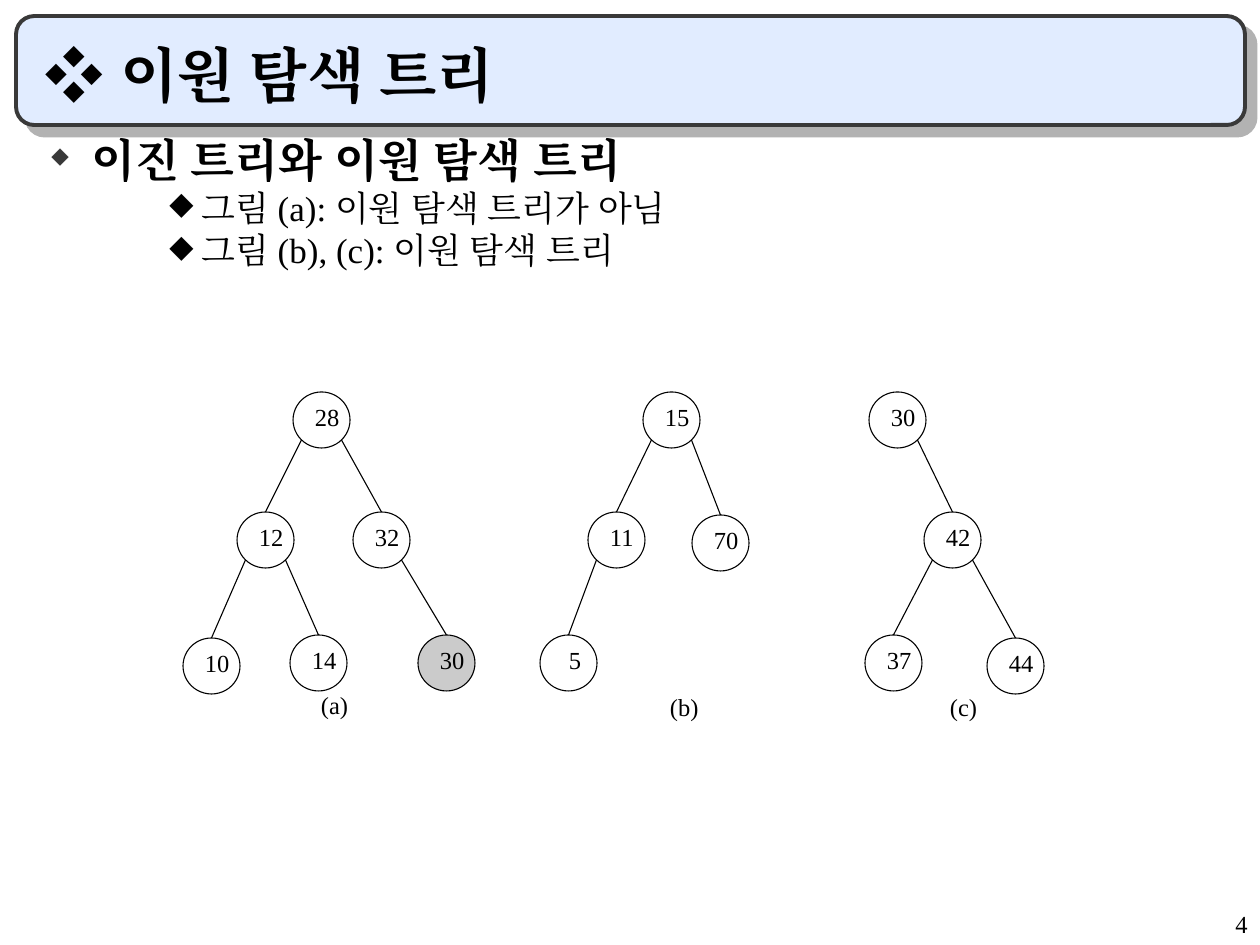
import pptx
import pptx.util
import pptx.dml.color
import pptx.enum.shapes
import pptx.enum.text
import pptx.oxml
import pptx.oxml.ns
import lxml.etree

SHAPE = pptx.enum.shapes.MSO_SHAPE
ALIGN = pptx.enum.text.PP_ALIGN
ANCHOR = pptx.enum.text.MSO_ANCHOR
BLACK = "000000"
SERIF = "Times New Roman"
NODE_WIDTH, NODE_HEIGHT = 57, 56

TREES = [
    (28, 293, 392, [
        (12, 237, 512, [(10, 183, 638, []), (14, 290, 635, [])]),
        (32, 353, 512, [(30, 418, 635, [])]),
    ]),
    (15, 643, 392, [
        (11, 588, 512, [(5, 540, 635, [])]),
        (70, 692, 515, []),
    ]),
    (30, 869, 392, [
        (42, 924, 512, [(37, 865, 635, []), (44, 987, 638, [])]),
    ]),
]
CAPTIONS = [("(a)", 321, 696), ("(b)", 670, 698), ("(c)", 950, 698)]
MISPLACED_NODE = (30, 418)


def px(value):
    return pptx.util.Emu(round(value * 914400 / 126))


def color(value):
    return pptx.dml.color.RGBColor.from_string(value)


def child(parent, tag, **attributes):
    element = lxml.etree.SubElement(parent, pptx.oxml.ns.qn(tag))
    for name, value in attributes.items():
        element.set(name, str(value))
    return element


def place(shape, left, top, width, height):
    shape.left, shape.top = px(left), px(top)
    shape.width, shape.height = px(width), px(height)


def add_run(paragraph, text, size=14, bold=False, font=SERIF):
    run = paragraph.add_run()
    run.text = text
    run.font.size = pptx.util.Pt(size)
    run.font.bold = bold
    run.font.name = font
    run.font.color.rgb = color(BLACK)
    child(run._r.get_or_add_rPr(), "a:ea", typeface=font)


def add_text(shapes, text, left, top, width, height, align=ALIGN.LEFT,
             spacing=1.0, inset=True, wrap=True):
    box = shapes.add_textbox(px(left), px(top), px(width), px(height))
    frame = box.text_frame
    frame.word_wrap = wrap
    if not inset:
        frame.margin_left = frame.margin_right = 0
        frame.margin_top = frame.margin_bottom = 0
    paragraph = frame.paragraphs[0]
    paragraph.alignment = align
    paragraph.line_spacing = spacing
    if text:
        add_run(paragraph, text)
    return frame


def add_label(shapes, text, left, top, width):
    add_text(shapes, text, left, top, width, 24, spacing=0.8, inset=False, wrap=False)


def add_bullet(paragraph, text, margin, indent, bullet_color, bullet_size,
               size, bold=False, before=0):
    properties = paragraph._p.get_or_add_pPr()
    properties.set("marL", str(px(margin)))
    properties.set("indent", str(px(-indent)))
    paragraph.line_spacing = 0.8
    paragraph.space_before = pptx.util.Pt(before)
    child(child(properties, "a:buClr"), "a:srgbClr", val=bullet_color)
    child(properties, "a:buSzPct", val=bullet_size * 1000)
    child(properties, "a:buChar", char="◆")
    add_run(paragraph, text, size=size, bold=bold)


def add_shape(shapes, kind, left, top, width, height, fill=None, line=None, weight=0.62):
    shape = shapes.add_shape(kind, px(left), px(top), px(width), px(height))
    shape.shadow.inherit = False
    if fill:
        shape.fill.solid()
        shape.fill.fore_color.rgb = color(fill)
    else:
        shape.fill.background()
    if line:
        shape.line.color.rgb = color(line)
        shape.line.width = pptx.util.Pt(weight)
    else:
        shape.line.fill.background()
    return shape


def add_edge(shapes, parent_left, parent_top, child_left, child_top):
    side = 1 if child_left > parent_left else -1
    start_x = parent_left + NODE_WIDTH / 2 + side * 20
    start_y = parent_top + NODE_HEIGHT / 2 + 20
    edge = shapes.add_connector(
        pptx.enum.shapes.MSO_CONNECTOR.STRAIGHT, px(start_x), px(start_y),
        px(child_left + NODE_WIDTH / 2), px(child_top))
    edge.line.color.rgb = color(BLACK)
    edge.line.width = pptx.util.Pt(0.62)
    child(edge._element.spPr, "a:effectLst")


def add_tree(shapes, node):
    value, left, top, children = node
    fill = "CBCBCB" if (value, left) == MISPLACED_NODE else None
    add_shape(shapes, SHAPE.OVAL, left, top, NODE_WIDTH, NODE_HEIGHT, fill, BLACK)
    label_width = 14 * len(str(value))
    add_label(shapes, str(value), left + 36 - label_width / 2, top + 16, label_width)
    for branch in children:
        add_edge(shapes, left, top, branch[1], branch[2])
        add_tree(shapes, branch)


def add_title(slide):
    title = slide.shapes.title
    place(title, 32, 32, 1187, 84)
    frame = title.text_frame
    frame.auto_size = pptx.enum.text.MSO_AUTO_SIZE.NONE
    frame.vertical_anchor = ANCHOR.BOTTOM
    paragraph = frame.paragraphs[0]
    paragraph.alignment = ALIGN.LEFT
    add_run(paragraph, "❖ ", size=34, bold=True, font="Arial")
    add_run(paragraph, "이원 탐색 트리", size=34, bold=True)

    banner = add_shape(slide.shapes, SHAPE.ROUNDED_RECTANGLE, 16, 16, 1229, 109,
                       "E1ECFF", "393939", 2.25)
    effects = banner._element.spPr.find(pptx.oxml.ns.qn("a:effectLst"))
    shadow = child(effects, "a:outerShdw", blurRad=0, dist=pptx.util.Pt(8.5),
                   dir=45 * 60000, algn="ctr", rotWithShape=0)
    child(shadow, "a:srgbClr", val="B2B2B2")
    title._element.addprevious(banner._element)


def add_body(slide):
    frame = add_text(slide.shapes, "", 31, 136, 1187, 735)
    add_bullet(frame.paragraphs[0], "이진 트리와 이원 탐색 트리", 48, 40,
               "393939", 50, size=26, bold=True)
    for text in ("그림 (a): 이원 탐색 트리가 아님", "그림 (b), (c): 이원 탐색 트리"):
        paragraph = frame.add_paragraph()
        paragraph.level = 2
        add_bullet(paragraph, text, 158, 32, BLACK, 90, size=20, before=5)


def add_figure(slide):
    shapes = slide.shapes.add_group_shape().shapes
    add_shape(shapes, SHAPE.RECTANGLE, 151, 373, 945, 372, "FFFFFF")
    for tree in TREES:
        add_tree(shapes, tree)
    for text, left, top in CAPTIONS:
        add_label(shapes, text, left, top, 36)


def main():
    presentation = pptx.Presentation()
    presentation.slide_width, presentation.slide_height = px(1260), px(945)
    slide = presentation.slides.add_slide(presentation.slide_layouts[5])
    add_title(slide)
    add_body(slide)
    add_figure(slide)
    add_text(slide.shapes, "4", 998, 903, 262, 42, align=ALIGN.RIGHT)
    presentation.save("out.pptx")


if __name__ == "__main__":
    main()
